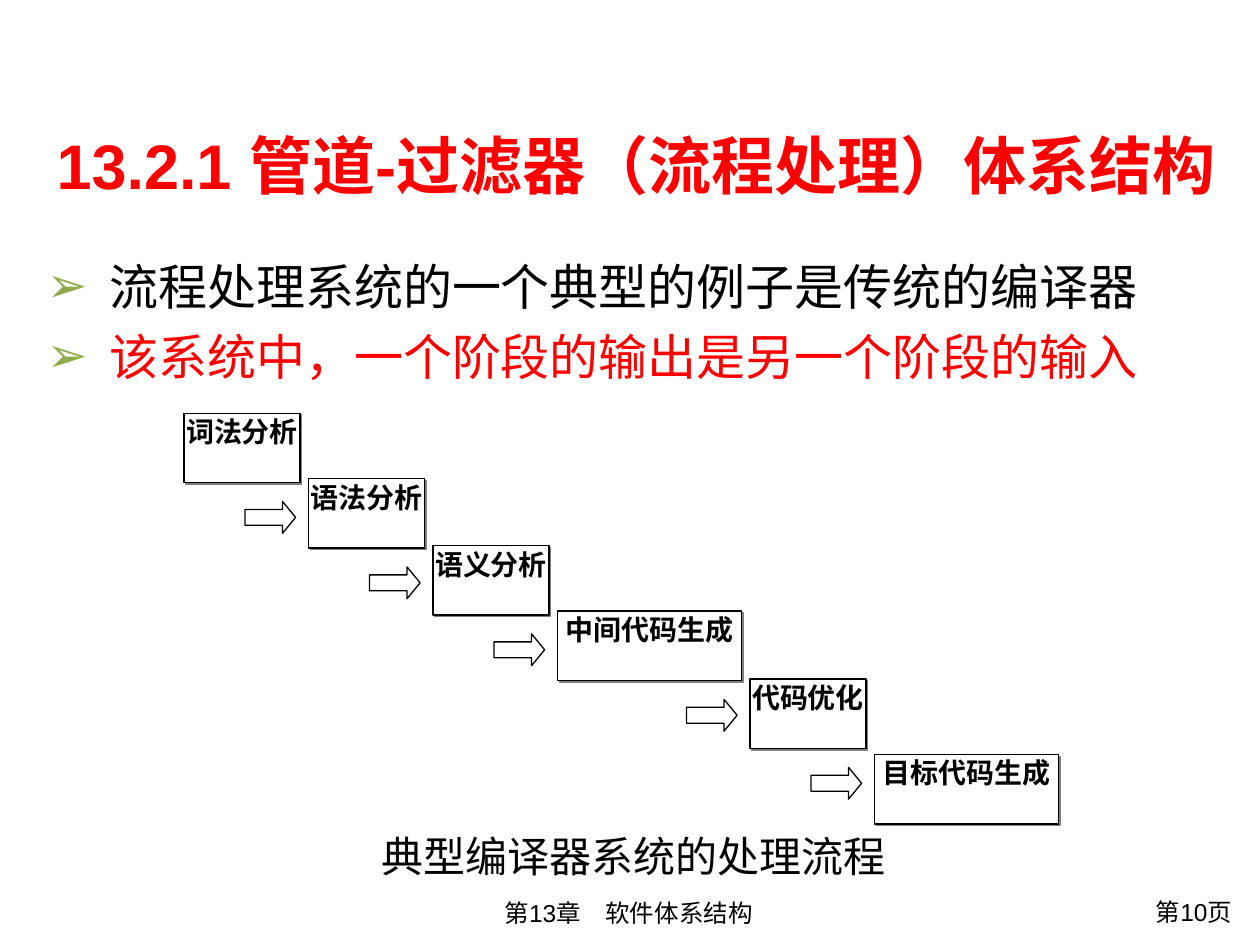
from dataclasses import dataclass

from lxml.etree import SubElement
from pptx import Presentation
from pptx.dml.color import RGBColor
from pptx.enum.shapes import MSO_SHAPE
from pptx.enum.text import MSO_ANCHOR, PP_ALIGN
from pptx.oxml.ns import qn
from pptx.util import Cm, Pt

TITLE = "13.2.1 管道-过滤器（流程处理）体系结构"
CAPTION = "典型编译器系统的处理流程"
CHAPTER = "第13章　软件体系结构"
PAGE = "第10页"


@dataclass(frozen=True)
class Theme:
    ink: str = "000000"
    accent: str = "FF0000"
    paper: str = "FFFFFF"
    bullet: str = "90AB4B"
    shadow: str = "808080"
    font: str = "Arial"
    stage_font: str = "Times New Roman"
    title_size: int = 36
    point_size: int = 28
    caption_size: int = 24
    stage_size: int = 16
    footer_size: int = 14


THEME = Theme()

POINTS = [
    ("流程处理系统的一个典型的例子是传统的编译器", THEME.ink),
    ("该系统中，一个阶段的输出是另一个阶段的输入", THEME.accent),
]

# Stage name and top edge in cm
STAGES = [
    ("词法分析", 8.33),
    ("语法分析", 9.65),
    ("语义分析", 11.0),
    ("中间代码生成", 12.32),
    ("代码优化", 13.69),
    ("目标代码生成", 15.21),
]
STAGES_LEFT, STAGE_GAP, STAGE_HEIGHT = 3.71, 0.17, 1.4
STAGE_WIDTHS = {4: 2.34, 6: 3.71}  # by number of characters
ARROW_WIDTH, ARROW_HEIGHT = 1.02, 0.64
ARROW_BACK, ARROW_DROP = 1.11, 1.78  # from a stage's top right corner


def write(paragraph, text, size, color=THEME.ink, font=THEME.font, bold=False,
          align=PP_ALIGN.LEFT):
    paragraph.alignment = align
    run = paragraph.add_run()
    run.text = text
    run.font.name = font
    run.font.size = Pt(size)
    run.font.bold = bold
    run.font.color.rgb = RGBColor.from_string(color)


def add_frame(slide, left, top, width, height, wrap=True, anchor=MSO_ANCHOR.TOP):
    frame = slide.shapes.add_textbox(Cm(left), Cm(top), Cm(width), Cm(height)).text_frame
    frame.word_wrap = wrap
    frame.vertical_anchor = anchor
    return frame


def add_bullet(paragraph):
    properties = paragraph._p.get_or_add_pPr()
    properties.set("marL", str(Cm(1.27)))
    properties.set("indent", str(-Cm(1.27)))
    color = SubElement(properties, qn("a:buClr"))
    SubElement(color, qn("a:srgbClr"), val=THEME.bullet)
    SubElement(properties, qn("a:buFont"), typeface=THEME.font)
    SubElement(properties, qn("a:buChar"), char="➢")


def add_outlined(slide, preset, left, top, width, height):
    shape = slide.shapes.add_shape(preset, Cm(left), Cm(top), Cm(width), Cm(height))
    shape.shadow.inherit = False
    shape.fill.solid()
    shape.fill.fore_color.rgb = RGBColor.from_string(THEME.paper)
    shape.line.color.rgb = RGBColor.from_string(THEME.ink)
    shape.line.width = Pt(0.75)
    return shape


def add_stage(slide, name, left, top, width):
    stage = add_outlined(slide, MSO_SHAPE.RECTANGLE, left, top, width, STAGE_HEIGHT)
    effects = stage._element.spPr.find(qn("a:effectLst"))
    shadow = SubElement(effects, qn("a:outerShdw"), dist=str(Pt(1.4)),
                        dir="2700000", algn="ctr", rotWithShape="0")
    SubElement(shadow, qn("a:srgbClr"), val=THEME.shadow)
    frame = stage.text_frame
    frame.word_wrap = True
    frame.vertical_anchor = MSO_ANCHOR.TOP
    frame.margin_left = frame.margin_right = 0
    frame.margin_top = frame.margin_bottom = Cm(0.03)
    write(frame.paragraphs[0], name, THEME.stage_size, font=THEME.stage_font,
          bold=True, align=PP_ALIGN.CENTER)


def add_pipeline(slide):
    """Lay the stages out as a staircase with an arrow under each but the last."""
    left = STAGES_LEFT
    for index, (name, top) in enumerate(STAGES):
        width = STAGE_WIDTHS[len(name)]
        add_stage(slide, name, left, top, width)
        right = left + width
        if index < len(STAGES) - 1:
            arrow = add_outlined(slide, MSO_SHAPE.RIGHT_ARROW, right - ARROW_BACK,
                                 top + ARROW_DROP, ARROW_WIDTH, ARROW_HEIGHT)
            arrow.adjustments[1] = 0.41
        left = right + STAGE_GAP


def main():
    deck = Presentation()
    deck.slide_width, deck.slide_height = Cm(25.4), Cm(19.05)
    slide = deck.slides.add_slide(deck.slide_layouts[6])

    chapter = add_frame(slide, 5.97, 17.98, 13.41, 0.86)
    write(chapter.paragraphs[0], CHAPTER, THEME.footer_size, align=PP_ALIGN.CENTER)

    add_pipeline(slide)

    title = add_frame(slide, 0.89, 2.11, 24.1, 2.41, anchor=MSO_ANCHOR.MIDDLE)
    write(title.paragraphs[0], TITLE, THEME.title_size, color=THEME.accent, bold=True)

    points = add_frame(slide, 0.69, 4.8, 23.6, 3.1)
    for index, (point, color) in enumerate(POINTS):
        paragraph = points.add_paragraph() if index else points.paragraphs[0]
        add_bullet(paragraph)
        paragraph.line_spacing = 1.2
        write(paragraph, point, THEME.point_size, color=color)

    caption = add_frame(slide, 7.44, 16.61, 10.67, 1.27, wrap=False)
    write(caption.paragraphs[0], CAPTION, THEME.caption_size)

    page = add_frame(slide, 21.69, 17.96, 3.4, 0.94)
    write(page.paragraphs[0], PAGE, THEME.footer_size, align=PP_ALIGN.RIGHT)

    deck.save("out.pptx")


if __name__ == "__main__":
    main()
